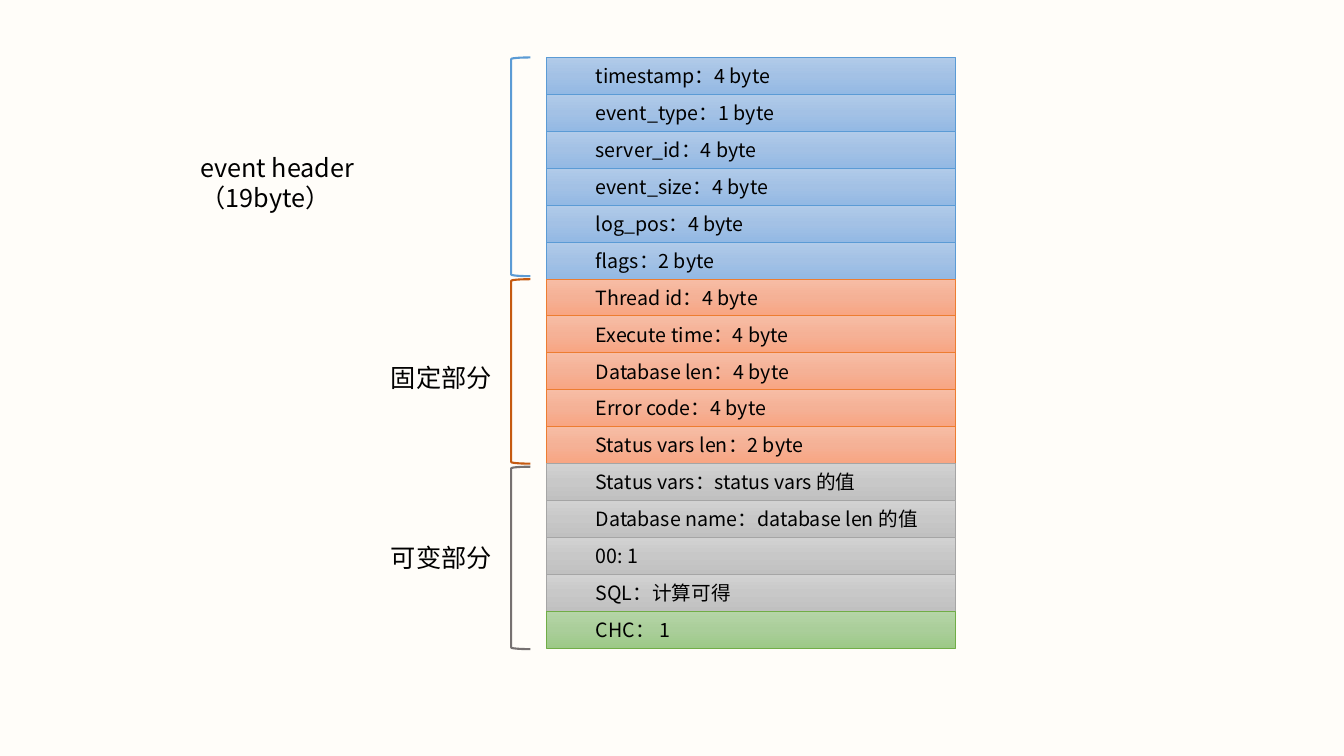
from copy import deepcopy
from dataclasses import dataclass

from pptx import Presentation
from pptx.dml.color import RGBColor as Rgb
from pptx.enum.shapes import MSO_SHAPE as Shape
from pptx.enum.text import MSO_ANCHOR as Anchor, PP_ALIGN as Align
from pptx.oxml.ns import qn
from pptx.util import Inches, Pt


@dataclass(frozen=True)
class Theme:
    font: str = "Noto Sans CJK SC"
    back: str = "FFFDF9"
    ink: str = "000000"
    field: int = 14
    label: int = 18
    thin: float = 0.5
    thick: float = 1.5


@dataclass(frozen=True)
class Tone:
    stops: tuple
    line: str


THEME = Theme()
BLUE = Tone(("B1CBE9", "A3C1E5", "93B9E4"), "5B9BD5")
ORANGE = Tone(("F7BDA5", "F5B196", "F8A582"), "ED7D31")
GRAY = Tone(("D2D2D2", "C8C8C8", "C0C0C0"), "A5A5A5")
GREEN = Tone(("B5D5A7", "AACE9A", "9CC987"), "70AD47")

HEADER = ["timestamp：4 byte", "event_type：1 byte", "server_id：4 byte",
          "event_size：4 byte", "log_pos：4 byte", "flags：2 byte"]
FIXED = ["Thread id：4 byte", "Execute time：4 byte", "Database len：4 byte",
         "Error code：4 byte", "Status vars len：2 byte"]
VARIED = ["Status vars：status vars 的值", "Database name：database len 的值",
          "00: 1", "SQL：计算可得"]
CHECK = ["CHC： 1"]
FIELDS = [(text, tone)
          for texts, tone in ((HEADER, BLUE), (FIXED, ORANGE),
                              (VARIED, GRAY), (CHECK, GREEN))
          for text in texts]

# Top, height and colour of each bracket
BRACKETS = [(0.57, 2.17, "5B9BD5"), (2.77, 1.83, "C55A11"),
            (4.63, 1.81, "767171")]
# Text, left, top, width and wrapping of each label
LABELS = [("event header（19byte）", 1.89, 1.46, 3.1, True),
          ("固定部分", 3.78, 3.55, 1.2, False),
          ("可变部分", 3.78, 5.33, 1.2, False)]


def write(frame, text, size):
    para = frame.paragraphs[0]
    para.text = text
    para.alignment = Align.LEFT
    font = para.font
    font.name, font.size = THEME.font, Pt(size)
    font.color.rgb = Rgb.from_string(THEME.ink)
    props = para._p.pPr.find(qn("a:defRPr"))
    east = props.makeelement(qn("a:ea"), {"typeface": THEME.font})
    props.find(qn("a:latin")).addnext(east)
    return para


def shade(shape, stops):
    """Fill from top to bottom with evenly spaced colours."""
    fill = shape.fill
    fill.gradient()
    fill.gradient_angle = 270
    group = shape.element.spPr.find(qn("a:gradFill")).find(qn("a:gsLst"))
    group.append(deepcopy(group[0]))
    for i, (stop, color) in enumerate(zip(fill.gradient_stops, stops)):
        stop.position = i / (len(stops) - 1)
        stop.color.rgb = Rgb.from_string(color)


def outline(shape, color, width):
    shape.shadow.inherit = False
    shape.line.color.rgb = Rgb.from_string(color)
    shape.line.width = Pt(width)


def add_fields(slide, left, top, width, height):
    """Stack all fields in equal rows."""
    row = height / len(FIELDS)
    for i, (text, tone) in enumerate(FIELDS):
        box = slide.shapes.add_shape(
            Shape.RECTANGLE, Inches(left), Inches(top + i * row),
            Inches(width), Inches(row))
        shade(box, tone.stops)
        outline(box, tone.line, THEME.thin)
        box.text_frame.vertical_anchor = Anchor.MIDDLE
        para = write(box.text_frame, text, THEME.field)
        para._p.pPr.set("marL", str(Inches(0.39)))


def add_bracket(slide, left, top, width, height, color):
    mark = slide.shapes.add_shape(
        Shape.LEFT_BRACKET, Inches(left), Inches(top),
        Inches(width), Inches(height))
    mark.fill.background()
    outline(mark, color, THEME.thick)


def add_label(slide, text, left, top, width, wrap):
    box = slide.shapes.add_textbox(
        Inches(left), Inches(top), Inches(width), Inches(0.4))
    frame = box.text_frame
    frame.word_wrap = wrap
    if wrap:
        frame.margin_right = Inches(0.4)
    write(frame, text, THEME.label)


def main():
    deck = Presentation()
    deck.slide_width, deck.slide_height = Inches(13.33), Inches(7.5)
    slide = deck.slides.add_slide(deck.slide_layouts[6])
    back = slide.background.fill
    back.solid()
    back.fore_color.rgb = Rgb.from_string(THEME.back)
    add_fields(slide, 5.42, 0.57, 4.06, 5.86)
    for top, height, color in BRACKETS:
        add_bracket(slide, 5.07, top, 0.19, height, color)
    for label in LABELS:
        add_label(slide, *label)
    deck.save("out.pptx")


if __name__ == "__main__":
    main()
